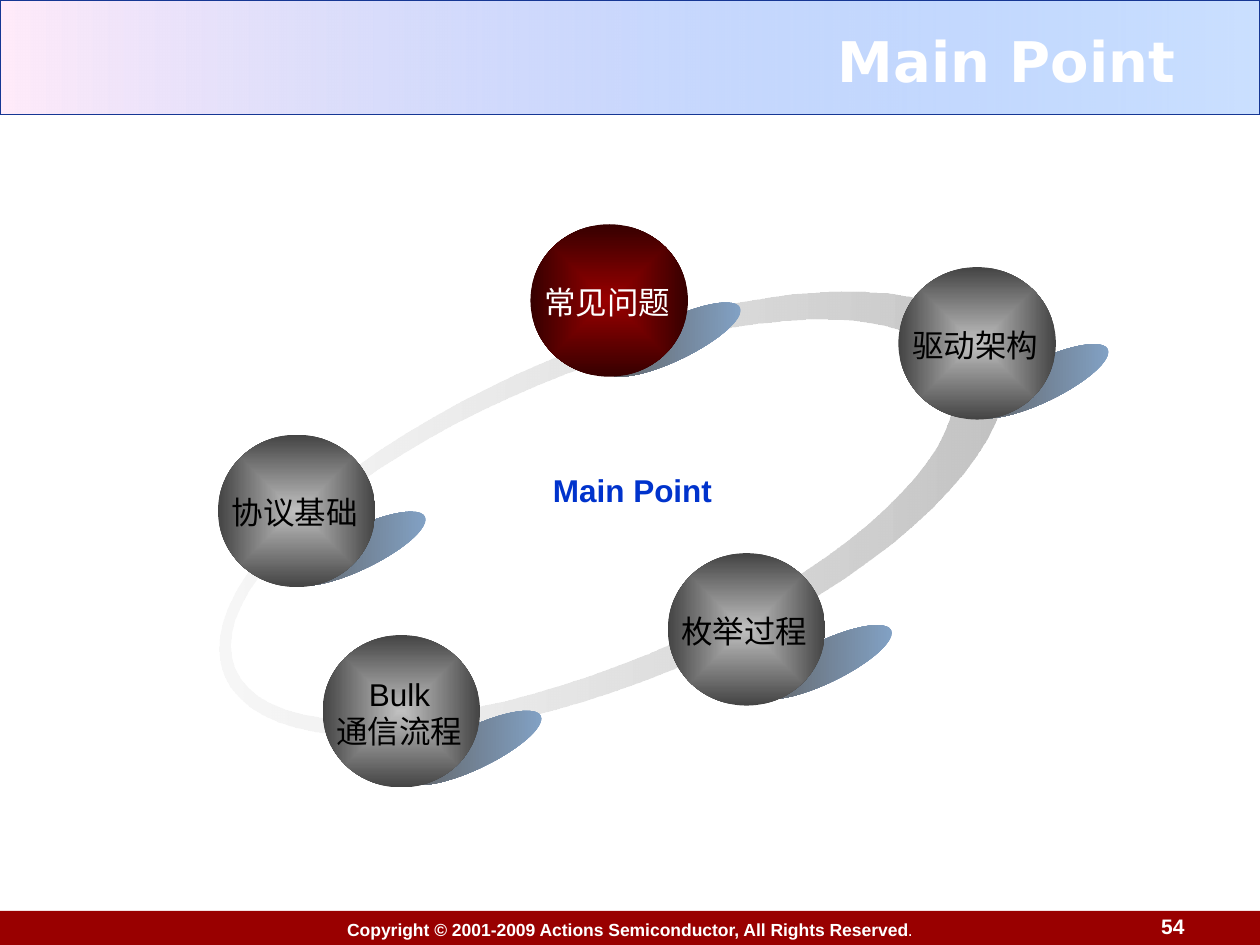
from dataclasses import dataclass
from math import cos, pi, sin

from pptx import Presentation
from pptx.dml.color import RGBColor
from pptx.enum.shapes import MSO_SHAPE
from pptx.enum.text import MSO_ANCHOR, PP_ALIGN
from pptx.oxml import parse_xml
from pptx.oxml.ns import nsdecls, qn
from pptx.util import Inches, Pt


@dataclass(frozen=True)
class Theme:
    font: str = "Arial"
    title_font: str = "DejaVu Sans"
    white: str = "FFFFFF"
    black: str = "000000"
    accent: str = "0033CC"
    footer: str = "990000"
    header_line: str = "163794"
    header_stops: tuple = (("5E9EFF", 32), ("FFEBFA", 100))
    ring_stops: tuple = (("C0C0C0", 100), ("EBEBEB", 36))
    shadow_stops: tuple = (("84A5CA", 100), ("5F5F5F", 100))
    active_stops: tuple = (("990000", 100), ("360000", 100))
    ball_stops: tuple = (("C0C0C0", 100), ("444444", 100))
    title_size: int = 32
    label_size: int = 18
    page_size: int = 12
    footer_size: int = 10


THEME = Theme()
COLUMNS, ROWS = 10, 7.5
TITLE = "Main Point"
CENTER_LABEL = "Main Point"
COPYRIGHT = ("Copyright © 2001-2009 Actions Semiconductor, All Rights Reserved", ".")
PAGE = "54"

# label, ball position, shadow offset from ball, active
TOPICS = [
    ("常见问题", (4.21, 1.78), (0.55, 0.75), True),
    ("枚举过程", (5.30, 4.39), (0.66, 0.70), False),
    ("驱动架构", (7.13, 2.12), (0.55, 0.74), False),
    ("Bulk\n通信流程", (2.56, 5.04), (0.62, 0.73), False),
    ("协议基础", (1.73, 3.45), (0.53, 0.74), False),
]
BALL = (1.25, 1.21)
SHADOW = (1.17, 0.33)
LABEL_WIDTH, LINE_HEIGHT = 1.2, 0.3

RING_CENTER = (4.86, 4.08)
RING_TILT = 337.4
RING_ELLIPSES = [
    ((0, 0), (3.33, 1.32), 1),
    ((-0.16, -0.02), (3.07, 1.15), -1),
]
RING_STEPS = 80


def grid(*lengths):
    return [Inches(length) for length in lengths]


def fill_gradient(shape, stops, angle=None):
    marks = "".join(
        f'<a:gs pos="{position}"><a:srgbClr val="{color}">'
        f'<a:alpha val="{alpha * 1000}"/></a:srgbClr></a:gs>'
        for position, (color, alpha) in zip((0, 100000), stops)
    )
    if angle is None:
        course = ('<a:path path="rect"><a:fillToRect l="50000" t="50000" '
                  'r="50000" b="50000"/></a:path>')
    else:
        course = f'<a:lin ang="{angle * 60000}" scaled="0"/>'
    gradient = parse_xml(
        f'<a:gradFill {nsdecls("a")} rotWithShape="1">'
        f"<a:gsLst>{marks}</a:gsLst>{course}</a:gradFill>"
    )
    shape.fill.background()
    properties = shape.element.spPr
    properties.replace(properties.find(qn("a:noFill")), gradient)


def finish(shape):
    shape.shadow.inherit = False
    shape.line.fill.background()
    return shape


def add_preset(slide, preset, box):
    return finish(slide.shapes.add_shape(preset, *grid(*box)))


def style_text(frame, size, color, align, bold=False, font=THEME.font,
               anchor=MSO_ANCHOR.TOP, wrap=True):
    frame.word_wrap = wrap
    frame.vertical_anchor = anchor
    for paragraph in frame.paragraphs:
        paragraph.alignment = align
        for run in paragraph.runs:
            run.font.size = Pt(size)
            run.font.name = font
            run.font.bold = bold
            run.font.color.rgb = RGBColor.from_string(color)


def add_label(slide, text, box, size, color, align, **style):
    frame = slide.shapes.add_textbox(*grid(*box)).text_frame
    frame.text = text
    style_text(frame, size, color, align, **style)


def add_header(slide):
    band = add_preset(slide, MSO_SHAPE.RECTANGLE, (0, 0, COLUMNS, 0.91))
    fill_gradient(band, THEME.header_stops, 180)
    band.line.color.rgb = RGBColor.from_string(THEME.header_line)
    band.line.width = Pt(0.75)

    title = slide.shapes.title
    title.left, title.top, title.width, title.height = grid(0.33, 0.17, 9.25, 0.62)
    title.text_frame.text = TITLE
    title.text_frame.margin_right = Inches(0.25)
    style_text(title.text_frame, THEME.title_size, THEME.white, PP_ALIGN.RIGHT,
               bold=True, font=THEME.title_font, anchor=MSO_ANCHOR.MIDDLE)
    title.element.getparent().append(title.element)


def add_footer(slide):
    band = add_preset(slide, MSO_SHAPE.RECTANGLE, (0, 7.23, COLUMNS, 0.29))
    band.fill.solid()
    band.fill.fore_color.rgb = RGBColor.from_string(THEME.footer)
    notice, stop = COPYRIGHT
    paragraph = band.text_frame.paragraphs[0]
    paragraph.text = notice
    paragraph.add_run().text = stop
    style_text(band.text_frame, THEME.footer_size, THEME.white, PP_ALIGN.CENTER,
               bold=True, anchor=MSO_ANCHOR.MIDDLE, wrap=False)
    paragraph.runs[-1].font.bold = False
    add_label(slide, PAGE, (8.94, 7.22, 0.56, 0.28), THEME.page_size, THEME.white,
              PP_ALIGN.RIGHT, bold=True, anchor=MSO_ANCHOR.BOTTOM)


def ellipse_points(offset, radii, direction):
    angles = [direction * 2 * pi * step / RING_STEPS for step in range(RING_STEPS)]
    return [
        grid(*(center + shift + radius * turn for center, shift, radius, turn
               in zip(RING_CENTER, offset, radii, (cos(angle), sin(angle)))))
        for angle in angles
    ]


def add_ring(slide):
    outer, inner = [ellipse_points(*ellipse) for ellipse in RING_ELLIPSES]
    builder = slide.shapes.build_freeform(*outer[0])
    builder.add_line_segments(outer[1:], close=True)
    builder.move_to(*inner[0])
    builder.add_line_segments(inner[1:], close=True)
    ring = finish(builder.convert_to_shape())
    ring.rotation = RING_TILT
    fill_gradient(ring, THEME.ring_stops, 203)


def add_topic(slide, label, position, shadow_offset, active):
    left, top = position
    shadow = add_preset(slide, MSO_SHAPE.OVAL,
                        (left + shadow_offset[0], top + shadow_offset[1], *SHADOW))
    shadow.rotation = 334.3
    fill_gradient(shadow, THEME.shadow_stops, 206)

    ball = add_preset(slide, MSO_SHAPE.OVAL, (*position, *BALL))
    fill_gradient(ball, THEME.active_stops if active else THEME.ball_stops)

    lines = label.count("\n") + 1
    height = 0.1 + lines * LINE_HEIGHT
    box = (left + 0.01, top + (BALL[1] - height) / 2 + 0.01, LABEL_WIDTH, height)
    add_label(slide, label, box, THEME.label_size,
              THEME.white if active else THEME.black,
              PP_ALIGN.CENTER if lines > 1 else PP_ALIGN.LEFT, wrap=False)


def main():
    deck = Presentation()
    deck.slide_width, deck.slide_height = grid(COLUMNS, ROWS)
    slide = deck.slides.add_slide(deck.slide_layouts[5])
    add_header(slide)
    add_footer(slide)
    add_ring(slide)
    for topic in TOPICS:
        add_topic(slide, *topic)
    add_label(slide, CENTER_LABEL, (3.76, 3.69, 2.52, 0.4), THEME.label_size,
              THEME.accent, PP_ALIGN.CENTER, bold=True)
    deck.save("out.pptx")


if __name__ == "__main__":
    main()
